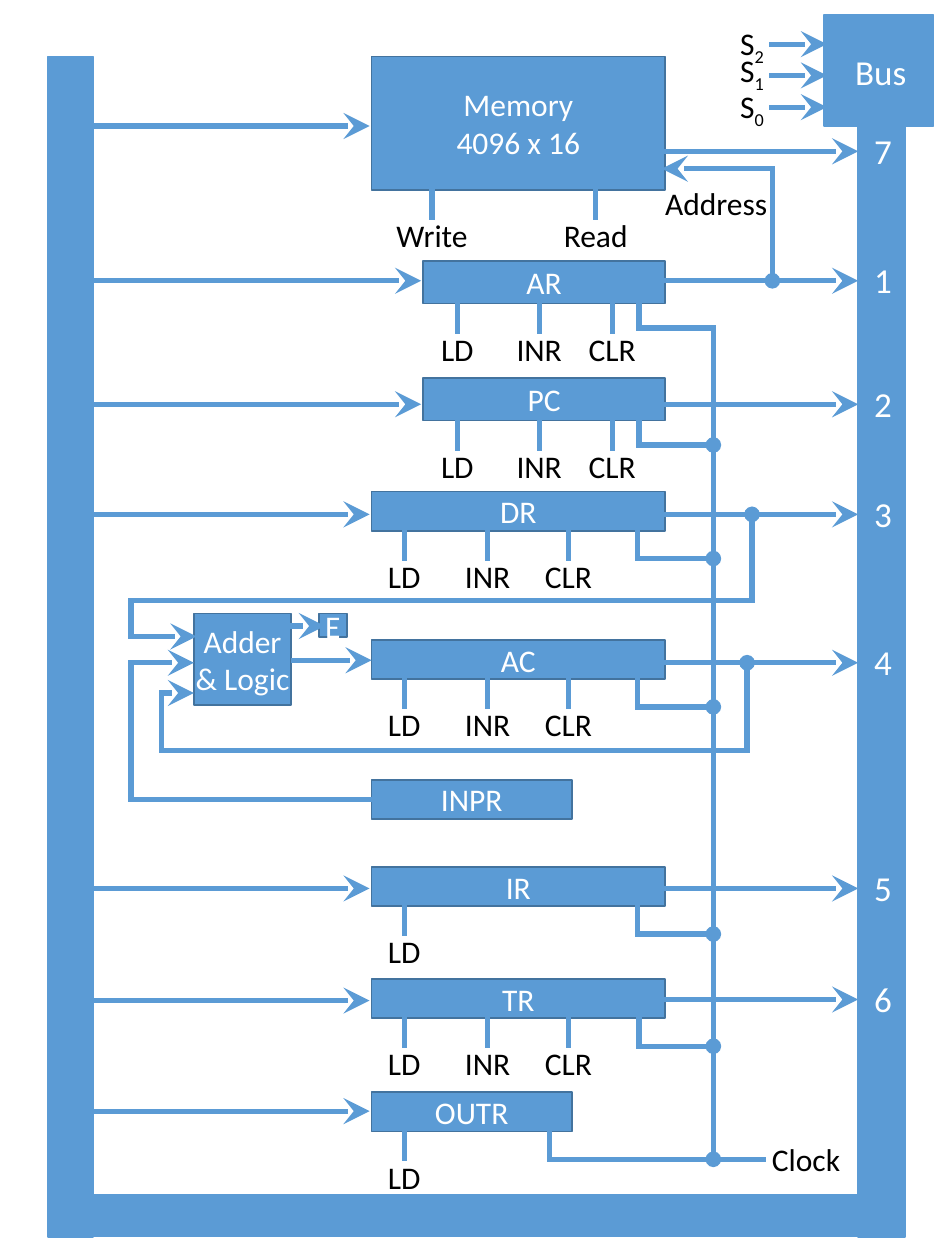
from typing import NamedTuple

from lxml.etree import SubElement
from pptx import Presentation
from pptx.dml.color import RGBColor
from pptx.enum.shapes import MSO_CONNECTOR as CONN, MSO_SHAPE as SHAPE
from pptx.enum.text import MSO_ANCHOR as ANCHOR, MSO_AUTO_SIZE as AUTO, PP_ALIGN as ALIGN
from pptx.oxml.ns import qn
from pptx.util import Cm, Pt

BLUE, EDGE, WHITE, BLACK = "5B9BD5", "43739E", "FFFFFF", "000000"
LEFT_BUS, RIGHT_BUS = 1.88, 17.3     # inner edges of the bus
LEFT, RIGHT = 7.49, 13.41            # edges of the wide registers
CLOCK_X, CLOCK_DROP = 14.38, 1.35
WIDE = {"LD": 8.15, "INR": 9.83, "CLR": 11.46}
NARROW = {"LD": 9.22, "INR": 10.87, "CLR": 12.34}
LABEL_WIDTHS = {"LD": 1.35, "Write": 2.16}


class Register(NamedTuple):
    name: str
    x: float
    y: float
    right: float
    h: float
    controls: dict
    load_y: float = 0     # 0 means no wire from the bus
    out_y: float = 0      # 0 means no wire to the bus
    number: str = ""
    clock_x: float = 0    # 0 means no clock input


REGISTERS = [
    Register("Memory\n4096 x 16", LEFT, 1.14, RIGHT, 2.69,
             {"Write": 8.71, "Read": 12.01}, 2.54, 3.05, "7"),
    Register("AR", 8.53, 5.26, RIGHT, 0.86, NARROW, 5.66, 5.66, "1", 12.88),
    Register("PC", 8.53, 7.62, RIGHT, 0.86, NARROW, 8.15, 8.15, "2", 12.88),
    Register("DR", LEFT, 9.91, RIGHT, 0.79, WIDE, 10.37, 10.37, "3", 12.85),
    Register("AC", LEFT, 12.9, RIGHT, 0.79, WIDE, 0, 13.36, "4", 12.85),
    Register("INPR", LEFT, 15.72, 11.53, 0.79, {}),
    Register("IR", LEFT, 17.48, RIGHT, 0.79, {"LD": 8.15}, 17.91, 17.91, "5", 12.85),
    Register("TR", LEFT, 19.74, RIGHT, 0.79, WIDE, 20.17, 20.15, "6", 12.88),
    Register("OUTR", LEFT, 22.02, 11.53, 0.79, {"LD": 8.15}, 22.4, 0, "", 11.07),
]


def rgb(value):
    return RGBColor.from_string(value)


def style(p, size, color):
    p.alignment = ALIGN.CENTER
    p.font.name = "Calibri"
    p.font.size = Pt(size)
    p.font.color.rgb = rgb(color)


def box(s, x, y, w, h, text="", edge=BLUE):
    sp = s.shapes.add_shape(SHAPE.RECTANGLE, Cm(x), Cm(y), Cm(w), Cm(h))
    sp.shadow.inherit = False
    sp.fill.solid()
    sp.fill.fore_color.rgb = rgb(BLUE)
    sp.line.color.rgb = rgb(edge)
    sp.line.width = Pt(1)
    if text:
        tf = sp.text_frame
        tf.margin_left = tf.margin_right = tf.margin_top = tf.margin_bottom = 0
        tf.vertical_anchor = ANCHOR.MIDDLE
        tf.word_wrap = True
        tf.text = text
        for p in tf.paragraphs:
            style(p, 18, WHITE)


def label(s, text, x, y, w, size=18, color=BLACK, subscript=""):
    h = 1.03 if size == 18 else 1.11
    tf = s.shapes.add_textbox(Cm(x), Cm(y), Cm(w), Cm(h)).text_frame
    tf.word_wrap = False
    tf.auto_size = AUTO.SHAPE_TO_FIT_TEXT
    p = tf.paragraphs[0]
    style(p, size, color)
    p.add_run().text = text
    if subscript:
        r = p.add_run()
        r.text = subscript
        r.font._element.set("baseline", "-25000")


def wire(s, *points, start="", end=""):
    """Join the points with straight lines; start and end name the line ends."""
    last = len(points) - 2
    for i, (a, b) in enumerate(zip(points, points[1:])):
        c = s.shapes.add_connector(CONN.STRAIGHT, *map(Cm, a + b))
        c.line.color.rgb = rgb(BLUE)
        c.line.width = Pt(3)
        ln = c.line._get_or_add_ln()
        ln.set("cap", "sq")
        if start and i == 0:
            SubElement(ln, qn("a:headEnd"), type=start)
        if end and i == last:
            size = {"w": "lg", "len": "lg"} if end == "stealth" else {}
            SubElement(ln, qn("a:tailEnd"), type=end, **size)
        SubElement(c._element.spPr, qn("a:effectLst"))


def arrow(s, *points, start=""):
    wire(s, *points, start=start, end="stealth")


def bus(s):
    box(s, 16.61, 0.3, 2.21, 2.24)
    box(s, 0.97, 24.08, 17.27, 0.84)
    box(s, 0.97, 1.14, 0.91, 23.8)
    box(s, RIGHT_BUS, 2.41, 0.94, 22.53)
    label(s, "Bus", 16.94, 0.89, 1.63, 20, WHITE)
    for digit, wire_y, text_y in (("2", 0.89, 0.36), ("1", 1.52, 0.91), ("0", 2.16, 1.63)):
        arrow(s, (15.55, wire_y), (16.67, wire_y))
        label(s, "S", 14.6, text_y, 1.12, subscript=digit)


def register(s, reg):
    bottom = reg.y + reg.h
    box(s, reg.x, reg.y, reg.right - reg.x, reg.h, reg.name, EDGE)
    for name, x in reg.controls.items():
        wire(s, (x, bottom), (x, bottom + 0.55))
        w = LABEL_WIDTHS.get(name, 1.8)
        label(s, name, x - w / 2, bottom + 0.4, w)
    if reg.load_y:
        arrow(s, (LEFT_BUS, reg.load_y), (reg.x - 0.04, reg.load_y))
    if reg.out_y:
        arrow(s, (reg.right, reg.out_y), (RIGHT_BUS, reg.out_y))
        label(s, reg.number, 17.37, reg.out_y - 0.57, 0.76, 20, WHITE)
    if reg.clock_x:
        y = reg.y + CLOCK_DROP
        wire(s, (reg.clock_x, bottom), (reg.clock_x, y), (CLOCK_X, y),
             end="" if reg.name == "AR" else "oval")


def clock(s):
    top, end = (r.y + CLOCK_DROP for r in (REGISTERS[1], REGISTERS[-1]))
    wire(s, (CLOCK_X, top), (CLOCK_X, end), (15.39, end))
    label(s, "Clock", 14.94, 22.86, 2.62)


def address(s):
    arrow(s, (15.57, 5.66), (15.57, 3.4), (13.34, 3.4), start="oval")
    label(s, "Address", 13.13, 3.58, 2.62)


def adder(s):
    box(s, 3.91, 12.37, 1.96, 1.85, "Adder & Logic", EDGE)
    box(s, 6.43, 12.37, 0.56, 0.48, "E", EDGE)
    arrow(s, (15.16, 10.37), (15.16, 12.1), (2.64, 12.1), (2.64, 12.83), (3.96, 12.83),
          start="oval")
    arrow(s, (LEFT, 16.12), (2.64, 16.12), (2.64, 13.36), (3.91, 13.36))
    arrow(s, (15.06, 13.36), (15.06, 15.13), (3.25, 15.13), (3.25, 13.97), (3.91, 13.97),
          start="oval")
    arrow(s, (5.92, 13.31), (LEFT, 13.31))
    arrow(s, (5.89, 12.62), (6.55, 12.62))


def main():
    prs = Presentation()
    prs.slide_width, prs.slide_height = Cm(19.05), Cm(25.4)
    s = prs.slides.add_slide(prs.slide_layouts[6])
    bus(s)
    for reg in REGISTERS:
        register(s, reg)
    clock(s)
    address(s)
    adder(s)
    prs.save("out.pptx")


if __name__ == "__main__":
    main()
